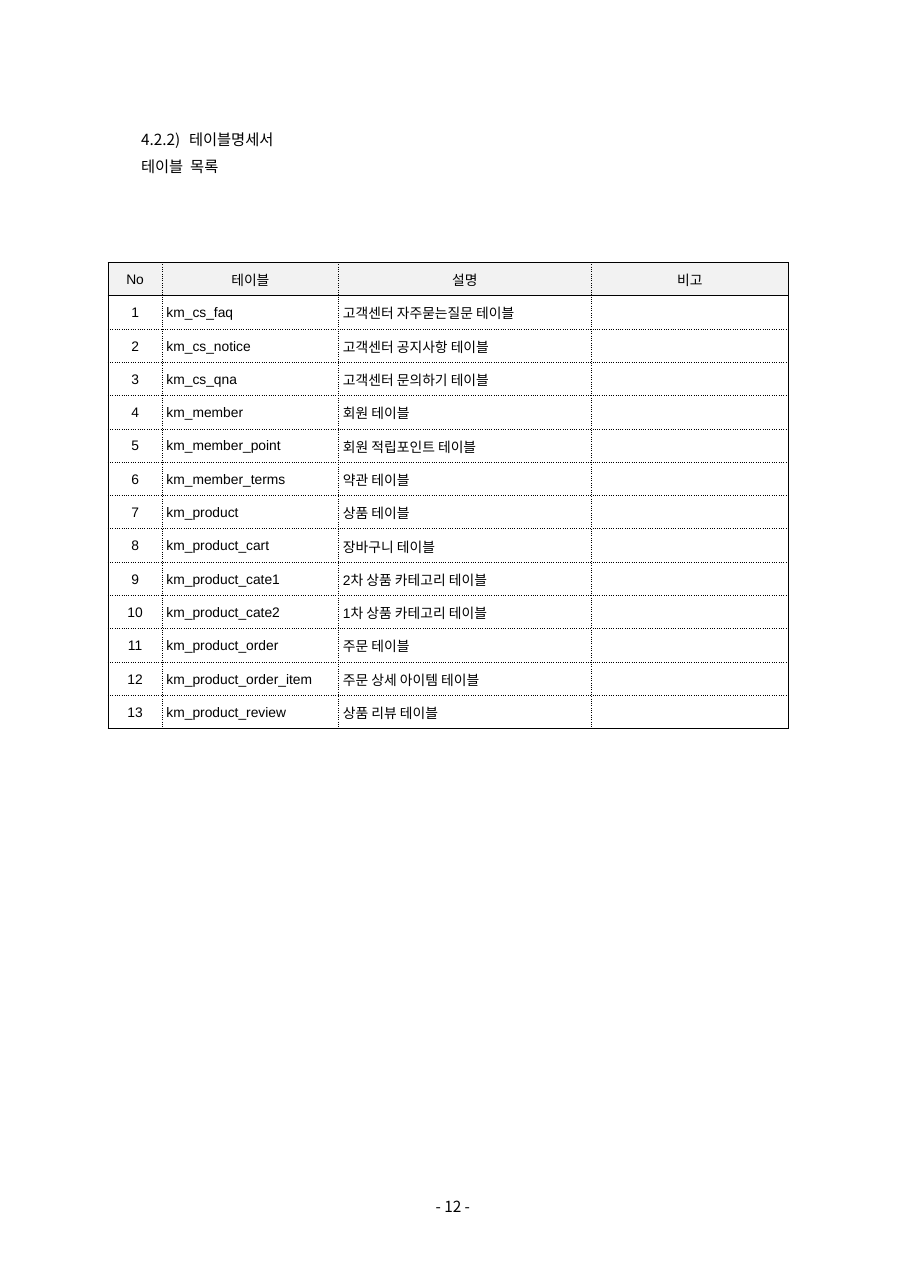
import pptx
import pptx.dml.color
import pptx.enum.text
import pptx.oxml
import pptx.oxml.ns
import pptx.util

PX = 9144
HUES = {"ink": "000000", "head": "F2F2F2"}
HANGUL = "Noto Sans CJK KR"
ALIGN = pptx.enum.text.PP_ALIGN
COLS = [49, 160, 229, 179]
HEADS = ["No", "테이블", "설명", "비고"]
ROWS = [
    ("km_cs_faq", "고객센터 자주묻는질문 테이블"),
    ("km_cs_notice", "고객센터 공지사항 테이블"),
    ("km_cs_qna", "고객센터 문의하기 테이블"),
    ("km_member", "회원 테이블"),
    ("km_member_point", "회원 적립포인트 테이블"),
    ("km_member_terms", "약관 테이블"),
    ("km_product", "상품 테이블"),
    ("km_product_cart", "장바구니 테이블"),
    ("km_product_cate1", "2차 상품 카테고리 테이블"),
    ("km_product_cate2", "1차 상품 카테고리 테이블"),
    ("km_product_order", "주문 테이블"),
    ("km_product_order_item", "주문 상세 아이템 테이블"),
    ("km_product_review", "상품 리뷰 테이블"),
]


def px(num):
    return pptx.util.Emu(num * PX)


def paint(key):
    return pptx.dml.color.RGBColor.from_string(HUES[key])


def add_run(para, text, size, face, gap=0):
    run = para.add_run()
    run.text = text
    run.font.size = pptx.util.Pt(size)
    run.font.name = face
    run.font.color.rgb = paint("ink")
    props = run.font._rPr
    if gap:
        props.set("spc", str(gap))
    east = pptx.oxml.parse_xml(
        f'<a:ea {pptx.oxml.ns.nsdecls("a")} typeface="{HANGUL}"/>')
    props.find(pptx.oxml.ns.qn("a:latin")).addnext(east)


def add_line(slide, box, parts, lead):
    frame = slide.shapes.add_textbox(*map(px, box)).text_frame
    frame.word_wrap = True
    frame.margin_left = frame.margin_right = 0
    frame.margin_top = frame.margin_bottom = 0
    para = frame.paragraphs[0]
    para.line_spacing = pptx.util.Pt(lead)
    for text, gap in parts:
        add_run(para, text, 10, HANGUL, gap)


def add_edge(cell, side, dash):
    cell._tc.get_or_add_tcPr().append(pptx.oxml.parse_xml(
        f'<a:ln{side} {pptx.oxml.ns.nsdecls("a")} w="6350">'
        f'<a:solidFill><a:srgbClr val="{HUES["ink"]}"/></a:solidFill>'
        f'<a:prstDash val="{dash}"/></a:ln{side}>'))


def fill_cell(cell, text, row, col, last):
    solid = {"L": col == 0, "R": col == len(COLS) - 1,
             "T": row < 2, "B": row in (0, last)}
    for side, flag in solid.items():
        add_edge(cell, side, "solid" if flag else "dot")
    if row == 0:
        cell.fill.solid()
        cell.fill.fore_color.rgb = paint("head")
    else:
        cell.fill.background()
    cell.margin_left = cell.margin_right = px(4)
    cell.margin_top, cell.margin_bottom = px(1), 0
    cell.vertical_anchor = pptx.enum.text.MSO_ANCHOR.MIDDLE
    para = cell.text_frame.paragraphs[0]
    para.alignment = ALIGN.CENTER if row == 0 or col == 0 else ALIGN.LEFT
    if text:
        add_run(para, text, 9, "Arial")
    else:
        para._p.get_or_add_endParaRPr().set("sz", "900")


def add_grid(slide, left, top, high):
    data = [HEADS] + [[str(num), name, note, ""]
                      for num, (name, note) in enumerate(ROWS, 1)]
    grid = slide.shapes.add_table(
        len(data), len(COLS), px(left), px(top), px(sum(COLS)), px(high)).table
    grid.first_row = grid.horz_banding = False
    for col, wide in enumerate(COLS):
        grid.columns[col].width = px(wide)
    for row, texts in enumerate(data):
        for col, text in enumerate(texts):
            fill_cell(grid.cell(row, col), text, row, col, len(ROWS))


def main():
    deck = pptx.Presentation()
    deck.slide_width, deck.slide_height = px(826), px(1168)
    slide = deck.slides.add_slide(deck.slide_layouts[6])
    add_line(slide, (128, 119, 140, 20),
             [("4.2.2)", 0), (" ", 360), ("테이블명세서", 0)], 11.4)
    add_line(slide, (128, 143, 88, 20),
             [("테이블", 0), (" ", 230), ("목록", 0)], 11.4)
    add_line(slide, (395, 1084, 53, 23), [("- 12 -", 0)], 13.2)
    add_grid(slide, 98, 238, 423)
    deck.save("out.pptx")


if __name__ == "__main__":
    main()
